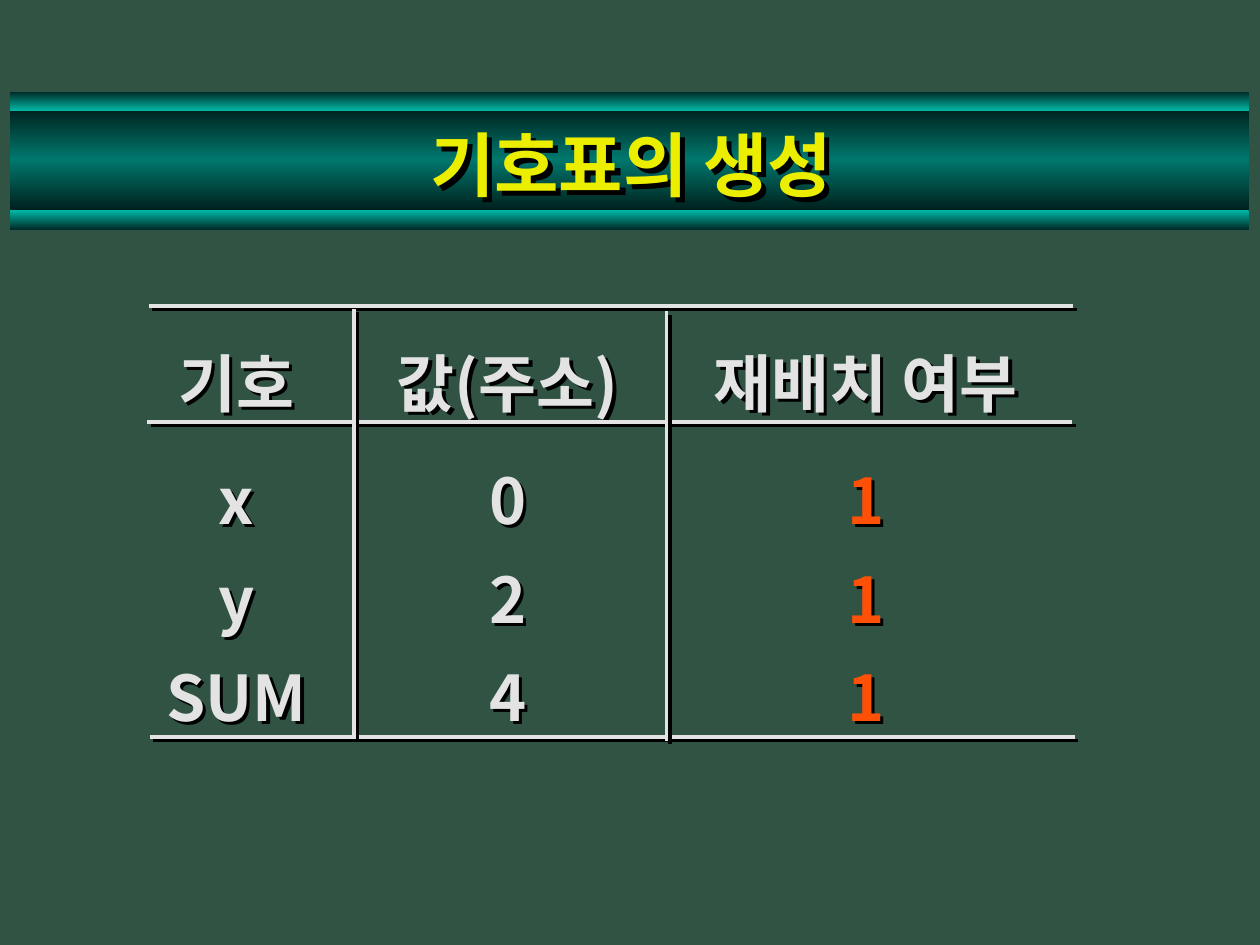
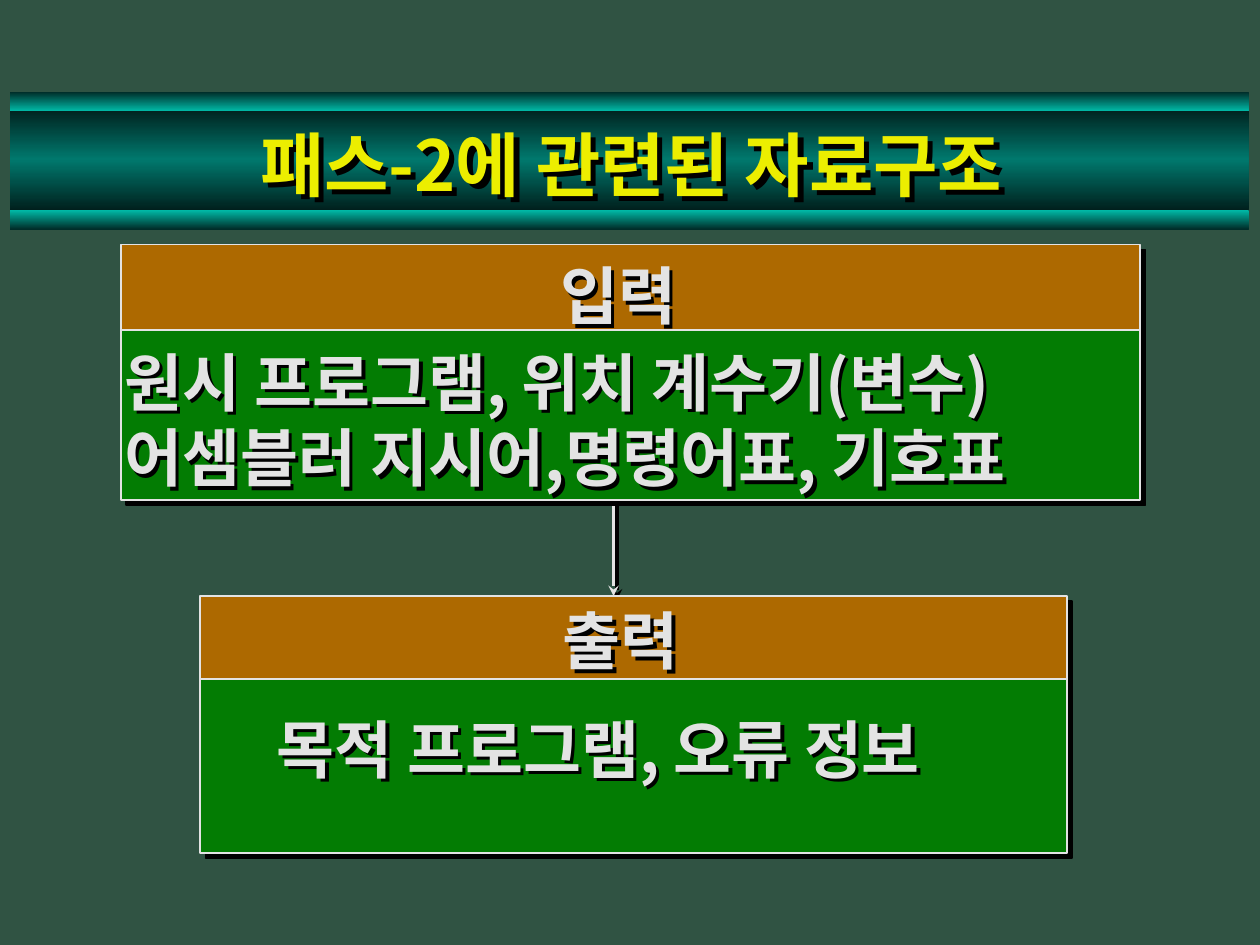
from dataclasses import dataclass

import pptx
import pptx.dml.color
import pptx.enum.shapes
import pptx.enum.text
import pptx.oxml
import pptx.oxml.ns
import pptx.util
from pptx.util import Inches

ALIGN = pptx.enum.text.PP_ALIGN


@dataclass(frozen=True)
class Theme:
    font: str = "Noto Sans CJK KR"
    background: str = "305343"
    title: str = "ECEE00"
    text: str = "E3E3E3"
    relocation_flag: str = "FF5008"
    line: str = "E3E3E3"
    stage_header: str = "AD6900"
    stage_content: str = "037C03"
    shadow: str = "000000"
    band_edge: str = "001E1B"
    band_middle: str = "00786D"
    trim_dark: str = "002D29"
    trim_light: str = "00B7A5"
    title_size: int = 40
    text_size: int = 36
    line_pitch: float = 43
    row_pitch: float = 56.3
    header_gap: float = 10.8
    line_width: int = 2
    border_width: int = 1
    line_shadow: float = 2.8
    panel_shadow: float = 4.2


THEME = Theme()

BAND_LEFT, BAND_WIDTH = 0.08, 9.83
TITLE_BANDS = (
    (0.85, 0.83, (THEME.band_edge, THEME.band_middle, THEME.band_edge)),
    (1.67, 0.15, (THEME.trim_light, THEME.trim_dark)),
    (0.73, 0.15, (THEME.trim_dark, THEME.trim_light)),
)

TABLE_TOP, TABLE_HEIGHT = 2.5, 3.4
SYMBOL_COLUMNS = (
    (0.79, 2.17, ("기호", "x", "y", "SUM"), THEME.text),
    (2.73, 2.6, ("값(주소)", "0", "2", "4"), THEME.text),
    (5.35, 3.04, ("재배치 여부", "1", "1", "1"), THEME.relocation_flag),
)
ROW_RULE_LENGTH, COLUMN_RULE_LENGTH = 7.34, 3.41
ROW_RULES = ((1.18, 2.43), (1.17, 3.35), (1.19, 5.85))
COLUMN_RULES = ((2.81, 2.45), (5.29, 2.47))


def rgb(color):
    return pptx.dml.color.RGBColor.from_string(color)


def make_element(tag, **attributes):
    element = pptx.oxml.parse_xml(f"<a:{tag} {pptx.oxml.ns.nsdecls('a')}/>")
    for name, value in attributes.items():
        element.set(name, str(value))
    return element


def find_child(element, tag):
    return element.find(pptx.oxml.ns.qn(f"a:{tag}"))


def cast_shadow(shape, distance):
    shadow = make_element("outerShdw", dist=pptx.util.Pt(distance),
                          dir=45 * 60000, algn="ctr", rotWithShape=0)
    shadow.append(make_element("srgbClr", val=THEME.shadow))
    effects = make_element("effectLst")
    effects.append(shadow)
    shape.element.spPr.append(effects)


def style_line(shape, width):
    shape.line.color.rgb = rgb(THEME.line)
    shape.line.width = pptx.util.Pt(width)


def write_para(para, text, size=THEME.text_size, color=THEME.text,
               align=ALIGN.CENTER, pitch=THEME.line_pitch, gap=0):
    para.alignment = align
    para.line_spacing = pptx.util.Pt(pitch)
    para.space_before = pptx.util.Pt(0)
    para.space_after = pptx.util.Pt(gap)
    span = para.add_run()
    span.text = text
    span.font.size = pptx.util.Pt(size)
    span.font.bold = True
    span.font.color.rgb = rgb(color)
    span.font.name = THEME.font
    latin = find_child(span.font._element, "latin")
    latin.addnext(make_element("ea", typeface=THEME.font))


def add_text_box(page, left, top, width, height):
    box = page.shapes.add_textbox(Inches(left), Inches(top),
                                  Inches(width), Inches(height))
    box.text_frame.word_wrap = True
    cast_shadow(box, THEME.line_shadow)
    return box.text_frame


def add_lines(page, left, top, width, height, lines, align=ALIGN.LEFT):
    frame = add_text_box(page, left, top, width, height)
    for index, line in enumerate(lines):
        para = frame.add_paragraph() if index else frame.paragraphs[0]
        write_para(para, line, align=align)


def add_symbol_column(page, left, width, cells, value_color):
    frame = add_text_box(page, left, TABLE_TOP, width, TABLE_HEIGHT)
    header, *values = cells
    write_para(frame.paragraphs[0], header, pitch=THEME.row_pitch,
               gap=THEME.header_gap)
    for value in values:
        write_para(frame.add_paragraph(), value, color=value_color,
                   pitch=THEME.row_pitch)


def add_rectangle(page, left, top, width, height):
    return page.shapes.add_shape(
        pptx.enum.shapes.MSO_SHAPE.RECTANGLE,
        Inches(left), Inches(top), Inches(width), Inches(height))


def add_panel(page, left, top, width, height, color):
    panel = add_rectangle(page, left, top, width, height)
    panel.fill.solid()
    panel.fill.fore_color.rgb = rgb(color)
    style_line(panel, THEME.border_width)
    cast_shadow(panel, THEME.panel_shadow)


def add_rule(page, left, top, width=0, height=0, arrow=False):
    rule = page.shapes.add_connector(
        pptx.enum.shapes.MSO_CONNECTOR.STRAIGHT, Inches(left), Inches(top),
        Inches(left + width), Inches(top + height))
    style_line(rule, THEME.line_width)
    if arrow:
        line = find_child(rule.element.spPr, "ln")
        line.append(make_element("tailEnd", type="stealth"))
    cast_shadow(rule, THEME.line_shadow)


def add_band(page, top, height, colors):
    band = add_rectangle(page, BAND_LEFT, top, BAND_WIDTH, height)
    band.shadow.inherit = False
    band.line.fill.background()
    band.fill.gradient()
    gradient = find_child(band.element.spPr, "gradFill")
    find_child(gradient, "lin").set("ang", str(90 * 60000))
    stops = find_child(gradient, "gsLst")
    stops.clear()
    for index, color in enumerate(colors):
        stop = make_element("gs", pos=index * 100000 // (len(colors) - 1))
        stop.append(make_element("srgbClr", val=color))
        stops.append(stop)
    return band


def add_page(deck, title):
    page = deck.slides.add_slide(deck.slide_layouts.get_by_name("Title Only"))
    box = page.shapes.title
    for top, height, colors in TITLE_BANDS:
        band = add_band(page, top, height, colors)
        box.element.addprevious(band.element)
    box.left, box.top = Inches(0.76), Inches(0.82)
    box.width, box.height = Inches(8.5), Inches(0.81)
    cast_shadow(box, THEME.panel_shadow)
    frame = box.text_frame
    frame.auto_size = pptx.enum.text.MSO_AUTO_SIZE.NONE
    frame.vertical_anchor = pptx.enum.text.MSO_ANCHOR.MIDDLE
    write_para(frame.paragraphs[0], title, size=THEME.title_size,
               color=THEME.title, pitch=THEME.title_size * 1.45)
    return page


def add_symbol_table(page):
    for left, width, cells, value_color in SYMBOL_COLUMNS:
        add_symbol_column(page, left, width, cells, value_color)
    for left, top in ROW_RULES:
        add_rule(page, left, top, width=ROW_RULE_LENGTH)
    for left, top in COLUMN_RULES:
        add_rule(page, left, top, height=COLUMN_RULE_LENGTH)


def add_stage(page, left, width, header_top, header_height,
              content_top, content_height):
    add_panel(page, left, header_top, width, header_height,
              THEME.stage_header)
    add_panel(page, left, content_top, width, content_height,
              THEME.stage_content)


def add_input_stage(page):
    add_stage(page, left=0.96, width=8.09, header_top=1.94,
              header_height=0.71, content_top=2.62, content_height=1.35)
    add_lines(page, 4.27, 1.99, 1.27, 0.46, ["입력"], align=ALIGN.CENTER)
    add_lines(page, 0.89, 2.68, 8.26, 1.31,
              ["원시 프로그램, 위치 계수기(변수)",
               "어셈블러 지시어,명령어표, 기호표"])


def add_output_stage(page):
    add_stage(page, left=1.59, width=6.88, header_top=4.73,
              header_height=0.67, content_top=5.39, content_height=1.38)
    add_lines(page, 4.37, 4.73, 1.63, 0.46, ["출력"])
    add_lines(page, 2.1, 5.59, 6.24, 0.7, ["목적 프로그램, 오류 정보"])


def main():
    deck = pptx.Presentation()
    deck.slide_width, deck.slide_height = Inches(10), Inches(7.5)
    backdrop = deck.slide_master.background.fill
    backdrop.solid()
    backdrop.fore_color.rgb = rgb(THEME.background)

    symbol_page = add_page(deck, "기호표의 생성")
    add_symbol_table(symbol_page)

    flow_page = add_page(deck, "패스-2에 관련된 자료구조")
    add_rule(flow_page, 4.87, 3.99, height=0.74, arrow=True)
    add_input_stage(flow_page)
    add_output_stage(flow_page)

    deck.save("out.pptx")


if __name__ == "__main__":
    main()
